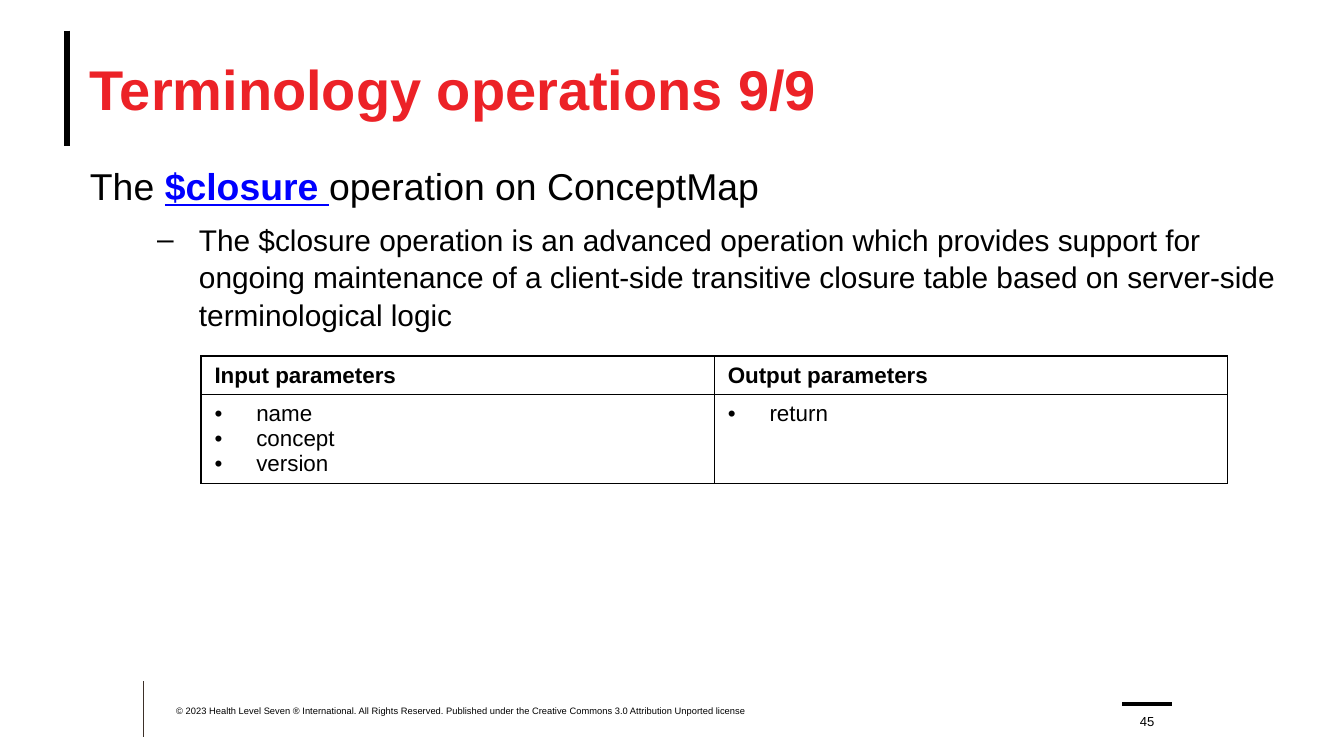
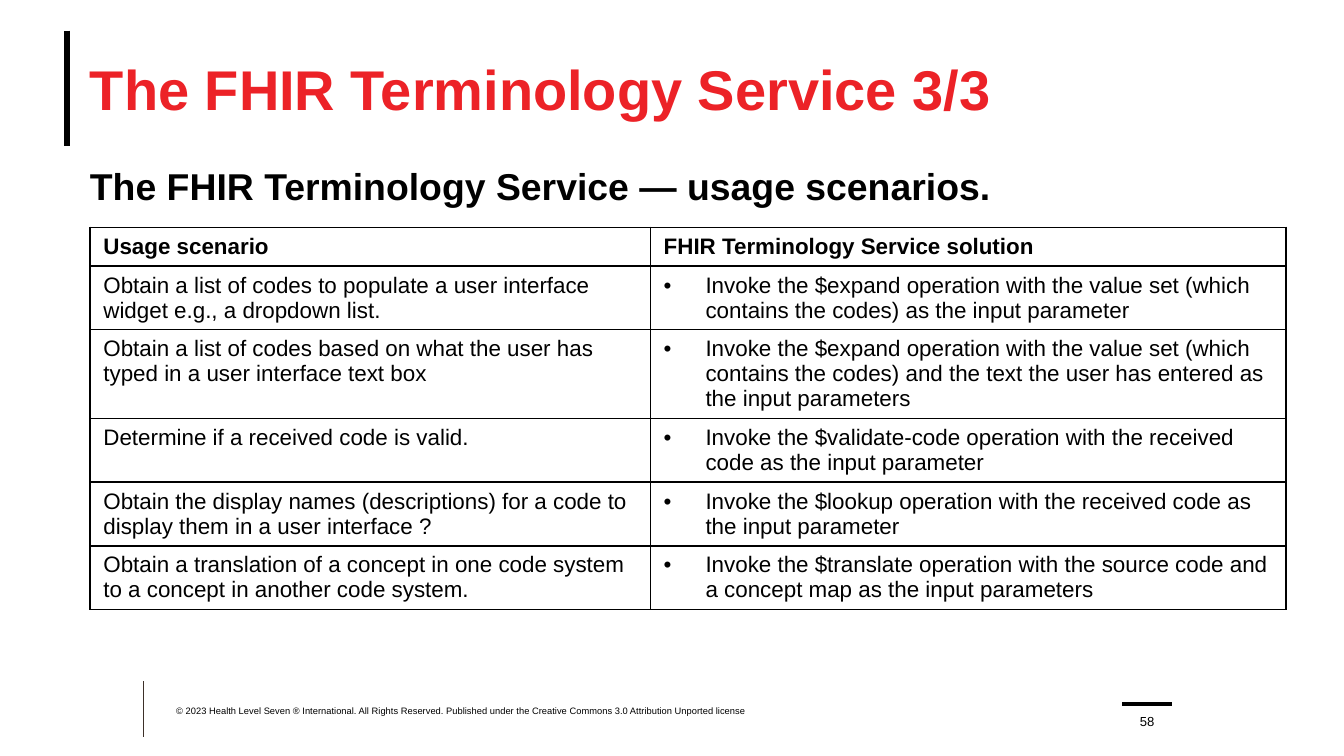
from lxml.etree import SubElement
from pptx import Presentation
from pptx.dml.color import RGBColor
from pptx.enum.shapes import MSO_CONNECTOR
from pptx.enum.text import MSO_ANCHOR, MSO_AUTO_SIZE, PP_ALIGN
from pptx.oxml.ns import qn
from pptx.util import Cm, Pt

FONT = "Arial"
BLACK, WHITE, RED, BLUE, BROWN = "000000", "FFFFFF", "EC2227", "0000FF", "3D3029"

# Boxes are left, top, width, height in centimetres
TITLE_BOX = (1.7, 0.58, 22.86, 2.18)
BODY_BOX = (1.7, 3.05, 22.86, 9.88)
FOOTER_BOX = (2.72, 12.88, 20, 1.06)
HANGING_INDENT = 0.79
HEADER_HEIGHT = 0.56

COPYRIGHT = ("© 2023 Health Level Seven ® International. All Rights Reserved. "
             "Published under the Creative Commons 3.0 Attribution Unported license")

PARAMETERS = [
    [["Input parameters"], [], ["Output parameters"], []],
    [["name", "concept", "version"], [], ["return"], []],
]

SCENARIOS = [
    ("Usage scenario", "FHIR Terminology Service solution"),
    ("Obtain a list of codes to populate a user interface widget e.g., a dropdown list.",
     "Invoke the $expand operation with the value set (which contains the codes) "
     "as the input parameter"),
    ("Obtain a list of codes based on what the user has typed in a user interface text box",
     "Invoke the $expand operation with the value set (which contains the codes) "
     "and the text the user has entered as the input parameters"),
    ("Determine if a received code is valid.",
     "Invoke the $validate-code operation with the received code as the input parameter"),
    ("Obtain the display names (descriptions) for a code to display them in a user interface ?",
     "Invoke the $lookup operation with the received code as the input parameter"),
    ("Obtain a translation of a concept in one code system to a concept in another code system.",
     "Invoke the $translate operation with the source code and a concept map "
     "as the input parameters"),
]


def color(hex_value):
    return RGBColor.from_string(hex_value)


def add_run(paragraph, text, size, hex_value=BLACK, bold=False, underline=False):
    run = paragraph.add_run()
    run.text = text
    font = run.font
    font.name, font.size = FONT, Pt(size)
    font.bold, font.underline = bold, underline
    font.color.rgb = color(hex_value)


def set_bullet(paragraph, character=None, left=0, hanging=0):
    """Set the indent and the bullet; no character means no bullet."""
    properties = paragraph._p.get_or_add_pPr()
    properties.set("marL", str(Cm(left)))
    properties.set("indent", str(-Cm(hanging)))
    if character:
        SubElement(properties, qn("a:buFont")).set("typeface", FONT)
        SubElement(properties, qn("a:buChar")).set("char", character)
    else:
        SubElement(properties, qn("a:buNone"))


def place(shape, box):
    shape.left, shape.top, shape.width, shape.height = map(Cm, box)


def prepare_frame(shape, anchor):
    frame = shape.text_frame
    frame.word_wrap = True
    frame.auto_size = MSO_AUTO_SIZE.NONE
    frame.vertical_anchor = anchor
    frame.margin_left = frame.margin_right = frame.margin_top = frame.margin_bottom = 0
    return frame


def add_line(slide, start, end, width, hex_value=BLACK):
    line = slide.shapes.add_connector(MSO_CONNECTOR.STRAIGHT, *map(Cm, start + end))
    line.line.width = Pt(width)
    line.line.color.rgb = color(hex_value)
    SubElement(line._element.spPr, qn("a:effectLst"))


def add_text(slide, box, text, size, anchor, alignment=PP_ALIGN.LEFT):
    text_box = slide.shapes.add_textbox(*map(Cm, box))
    paragraph = prepare_frame(text_box, anchor).paragraphs[0]
    paragraph.alignment = alignment
    add_run(paragraph, text, size)


def add_title(slide, box, text):
    left, top, _, height = box
    add_line(slide, (left - 0.43, top), (left - 0.43, top + height), 3.25)
    title = slide.shapes.title
    place(title, box)
    paragraph = prepare_frame(title, MSO_ANCHOR.MIDDLE).paragraphs[0]
    paragraph.alignment = PP_ALIGN.LEFT
    add_run(paragraph, text, 30, RED, bold=True)


def add_footer(slide, box, page_number):
    left, top, width, height = box
    add_line(slide, (left, top), (left, top + height), 0.5, BROWN)
    add_text(slide, (left + 0.61, top + 0.45, 12.57, 0.43), COPYRIGHT, 5, MSO_ANCHOR.TOP)
    right = left + width - 0.57
    add_line(slide, (right - 0.94, top + 0.43), (right, top + 0.43), 2)
    add_text(slide, (right - 0.85, top + 0.48, 0.76, 0.43), page_number, 7,
             MSO_ANCHOR.BOTTOM, PP_ALIGN.CENTER)


def add_body(slide, box, lead_runs, detail=None):
    """Fill the body with a lead line of (text, run options) and a dashed detail."""
    body = slide.placeholders[1]
    place(body, box)
    frame = prepare_frame(body, MSO_ANCHOR.TOP)
    lead = frame.paragraphs[0]
    set_bullet(lead)
    lead.space_before, lead.line_spacing = Pt(0), 1.05
    for text, options in lead_runs:
        add_run(lead, text, 20, **options)
    if detail:
        paragraph = frame.add_paragraph()
        paragraph.level = 1
        set_bullet(paragraph, "–", 2.06, HANGING_INDENT)
        paragraph.space_before, paragraph.line_spacing = Pt(6), 1.05
        add_run(paragraph, detail, 16)


def style_cell(cell, sides):
    """Fill the cell white and draw borders on the sides named, such as "LTB"."""
    properties = cell._tc.get_or_add_tcPr()
    for side in "LRTB":
        border = SubElement(properties, qn(f"a:ln{side}"), w=str(Pt(1)))
        if side in sides:
            fill = SubElement(border, qn("a:solidFill"))
            SubElement(fill, qn("a:srgbClr"), val=BLACK)
        else:
            SubElement(border, qn("a:noFill"))
    cell.fill.solid()
    cell.fill.fore_color.rgb = color(WHITE)


def fill_cell(cell, lines, bold=False, bulleted=False):
    for index, text in enumerate(lines):
        frame = cell.text_frame
        paragraph = frame.add_paragraph() if index else frame.paragraphs[0]
        if bulleted:
            set_bullet(paragraph, "•", HANGING_INDENT, HANGING_INDENT)
        add_run(paragraph, text, 12, bold=bold)


def add_grid(slide, left, top, column_widths, row_heights):
    frame = slide.shapes.add_table(len(row_heights), len(column_widths), Cm(left), Cm(top),
                                   Cm(sum(column_widths)), Cm(sum(row_heights)))
    table = frame.table
    table.first_row = table.horz_banding = False
    for column, width in zip(table.columns, column_widths):
        column.width = Cm(width)
    for row, height in zip(table.rows, row_heights):
        row.height = Cm(height)
    return table


def add_parameter_table(slide, left, top):
    """Each heading spans two columns, which share one open cell pair below it."""
    table = add_grid(slide, left, top, (4.55, 5.15, 4.83, 4.87), (HEADER_HEIGHT, 1.6))
    for row, values in enumerate(PARAMETERS):
        for column, lines in enumerate(values):
            cell = table.cell(row, column)
            outer_side = "R" if column % 2 else "L"
            style_cell(cell, "TB" + outer_side if row else "LRTB")
            fill_cell(cell, lines, bold=row == 0, bulleted=row > 0)
    for column in (0, 2):
        table.cell(0, column).merge(table.cell(0, column + 1))


def add_scenario_table(slide, left, top):
    heights = [HEADER_HEIGHT] + [1.04] * (len(SCENARIOS) - 1)
    table = add_grid(slide, left, top, (10.59, 12.01), heights)
    for row, values in enumerate(SCENARIOS):
        for column, text in enumerate(values):
            cell = table.cell(row, column)
            style_cell(cell, "LRTB")
            fill_cell(cell, [text], bold=row == 0, bulleted=row > 0 and column == 1)


def add_content_slide(presentation, title, page_number):
    slide = presentation.slides.add_slide(presentation.slide_layouts[1])
    add_title(slide, TITLE_BOX, title)
    add_footer(slide, FOOTER_BOX, page_number)
    return slide


def add_closure_slide(presentation):
    slide = add_content_slide(presentation, "Terminology operations 9/9", "45")
    lead_runs = [
        ("The ", {}),
        ("$closure", {"hex_value": BLUE, "bold": True, "underline": True}),
        (" ", {"hex_value": BLUE, "underline": True}),
        ("operation on ConceptMap", {}),
    ]
    add_body(slide, BODY_BOX, lead_runs,
             "The $closure operation is an advanced operation which provides support for "
             "ongoing maintenance of a client-side transitive closure table based on "
             "server-side terminological logic")
    add_parameter_table(slide, 3.8, 6.73)


def add_scenario_slide(presentation):
    slide = add_content_slide(presentation, "The FHIR Terminology Service 3/3", "58")
    add_body(slide, BODY_BOX,
             [("The FHIR Terminology Service — usage scenarios.", {"bold": True})])
    add_scenario_table(slide, 1.7, 4.3)


def main():
    presentation = Presentation()
    presentation.slide_width, presentation.slide_height = Cm(25.4), Cm(14.29)
    add_closure_slide(presentation)
    add_scenario_slide(presentation)
    presentation.save("out.pptx")


if __name__ == "__main__":
    main()
